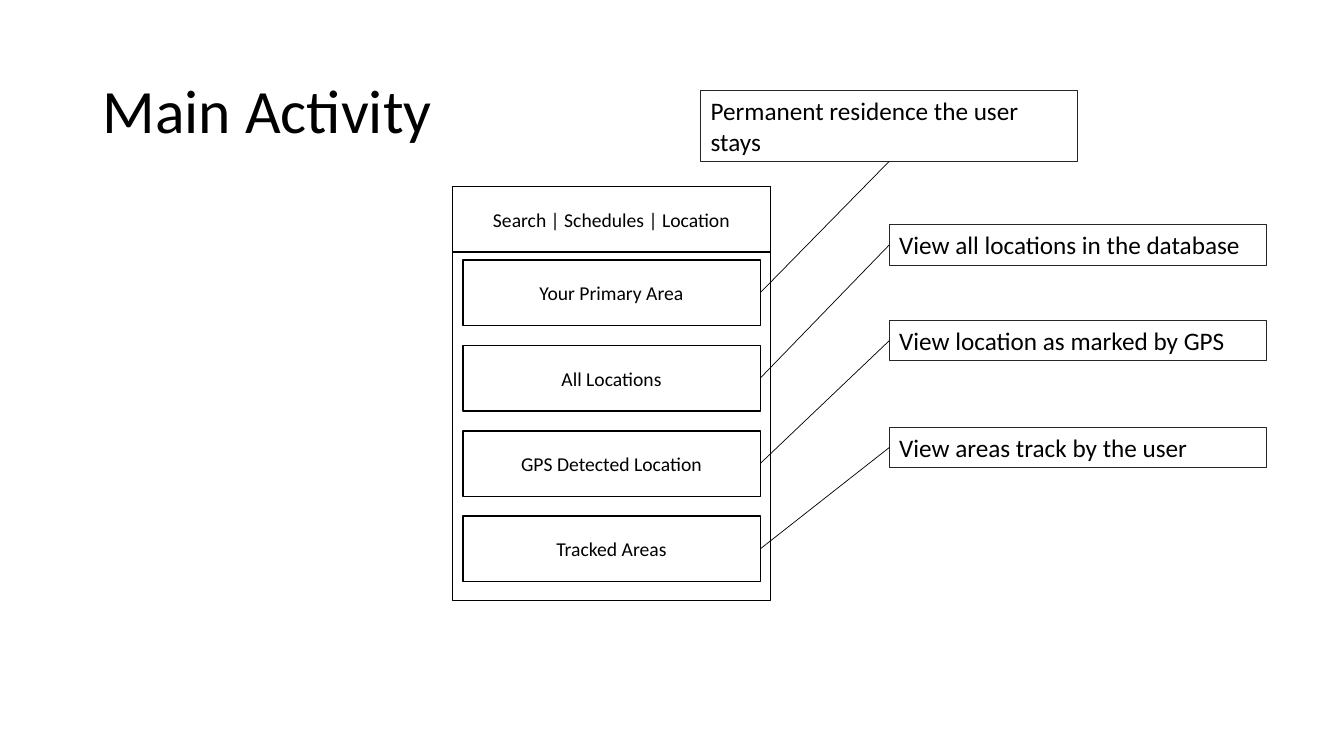
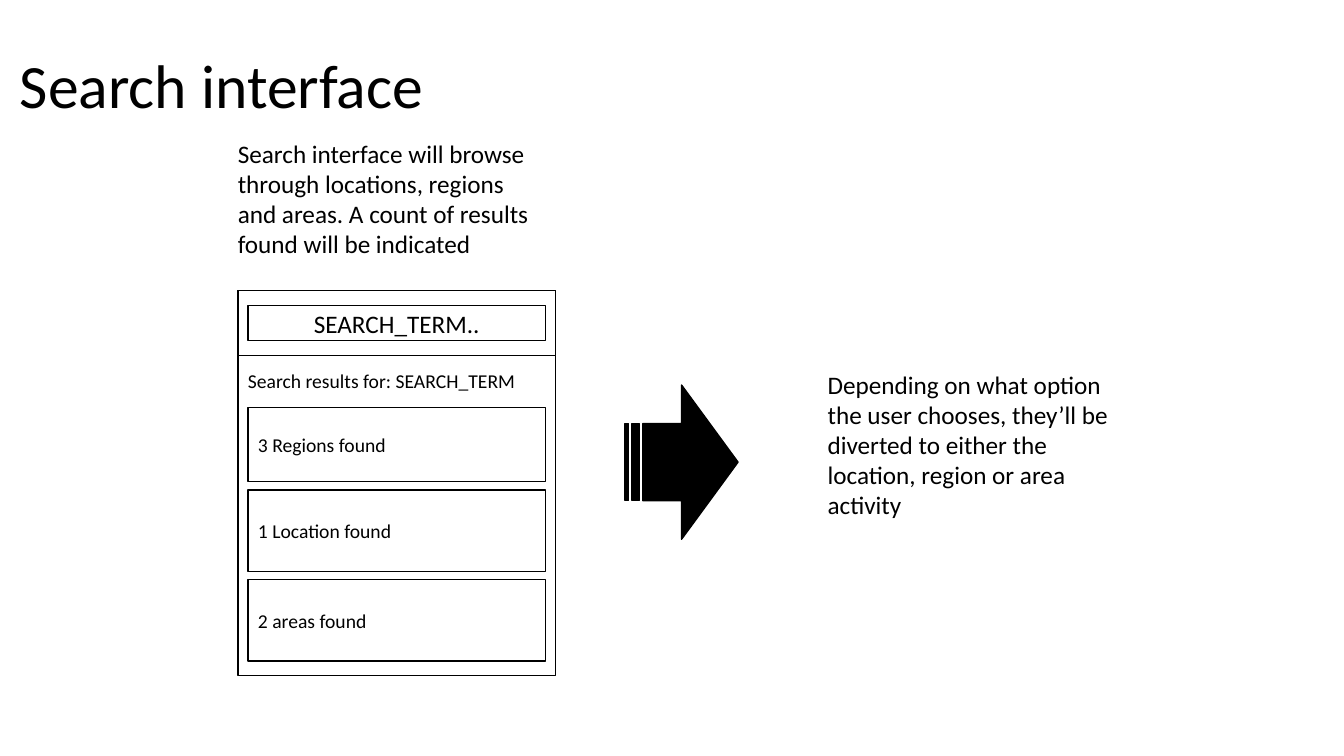
from pptx import Presentation
from pptx.dml.color import RGBColor
from pptx.enum.shapes import MSO_CONNECTOR as Link, MSO_SHAPE as Kind
from pptx.enum.text import MSO_ANCHOR as Anchor, PP_ALIGN as Align
from pptx.oxml.ns import qn
from pptx.util import Inches, Pt
from lxml.etree import SubElement

# Shared style
BLACK = RGBColor(0x00, 0x00, 0x00)
WHITE = RGBColor(0xFF, 0xFF, 0xFF)
GREY = RGBColor(0x26, 0x26, 0x26)
FONT = "Calibri"

# Shared phone frame
WIDE = 3.15
BAR = 0.65
PAD = 0.1
INNER = WIDE - 2 * PAD


def write(shape, text, size=14, align=Align.LEFT, anchor=Anchor.MIDDLE, space=1.0):
    frame = shape.text_frame
    frame.word_wrap = True
    frame.vertical_anchor = anchor
    par = frame.paragraphs[0]
    par.alignment = align
    par.line_spacing = space
    run = par.add_run()
    run.text = text
    run.font.name = FONT
    run.font.size = Pt(size)
    run.font.color.rgb = BLACK


def add_box(slide, x, y, w, h, text="", fill=WHITE, line=BLACK, weight=1,
            kind=Kind.RECTANGLE, **style):
    box = slide.shapes.add_shape(kind, Inches(x), Inches(y), Inches(w), Inches(h))
    box.shadow.inherit = False
    if fill is None:
        box.fill.background()
    else:
        box.fill.solid()
        box.fill.fore_color.rgb = fill
    box.line.color.rgb = line
    box.line.width = Pt(weight)
    if text:
        write(box, text, **style)
    return box


def add_note(slide, x, y, w, h, text, size=18, anchor=Anchor.TOP, **style):
    note = slide.shapes.add_textbox(Inches(x), Inches(y), Inches(w), Inches(h))
    write(note, text, size=size, anchor=anchor, **style)


def add_title(slide, x, y, text):
    add_note(slide, x, y, 11.5, 1.45, text, size=44, anchor=Anchor.MIDDLE, space=0.9)


def add_phone(slide, x, y, h, text=""):
    add_box(slide, x, y, WIDE, h, fill=None)
    add_box(slide, x, y, WIDE, BAR, text, align=Align.CENTER)


def add_link(slide, start, end):
    ends = [Inches(v) for v in (*start, *end)]
    link = slide.shapes.add_connector(Link.STRAIGHT, *ends)
    link.line.color.rgb = BLACK
    link.line.width = Pt(0.5)
    SubElement(link._element.spPr, qn("a:effectLst"))


def main_slide(slide):
    add_title(slide, 0.92, 0.4, "Main Activity")
    left, top = 4.49, 1.85
    add_phone(slide, left, top, 4.11, "Search | Schedules | Location")

    # Buttons, each linked to its callout
    first, step = 2.58, 0.847
    side = 8.82
    wide = 3.74
    rows = [
        ("Your Primary Area", "Permanent residence the user stays", 0.9),
        ("All Locations", "View all locations in the database", 2.23),
        ("GPS Detected Location", "View location as marked by GPS", 3.18),
        ("Tracked Areas", "View areas track by the user", 4.24),
    ]
    for i, (name, text, y) in enumerate(rows):
        row = first + i * step
        add_box(slide, left + PAD, row, INNER, BAR, name, align=Align.CENTER)
        # The top callout is two lines high, centred above its link
        x, h = (side - wide / 2, 0.7) if i == 0 else (side, 0.4)
        add_box(slide, x, y, wide, h, text, fill=None, line=GREY, weight=0.75,
                size=18, anchor=Anchor.TOP)
        start = (side, y + (h if i == 0 else h / 2))
        add_link(slide, start, (left + PAD + INNER, row + BAR / 2))


def search_slide(slide):
    add_title(slide, 0.1, 0.15, "Search interface")
    left, top = 2.36, 2.88
    add_phone(slide, left, top, 3.82)

    # Search field and results
    add_note(slide, left, 3.61, WIDE, 0.34, "Search results for: SEARCH_TERM", size=14)
    add_box(slide, left + PAD, top + 0.15, INNER, 0.35, "SEARCH_TERM..",
            size=18, align=Align.CENTER)
    y = 4.04
    for text, h in [("3 Regions found", 0.74), ("1 Location found", 0.81),
                    ("2 areas found", 0.81)]:
        add_box(slide, left + PAD, y, INNER, h, text)
        y += h + 0.08

    # Remarks and arrow
    add_note(slide, 2.26, 1.32, WIDE, 1.31,
             "Search interface will browse through locations, regions and areas. "
             "A count of results found will be indicated")
    add_box(slide, 6.2, 3.82, 1.12, 1.53, fill=BLACK, kind=Kind.STRIPED_RIGHT_ARROW)
    add_note(slide, 8.11, 3.61, WIDE, 1.62,
             "Depending on what option the user chooses, they’ll be diverted "
             "to either the location, region or area activity")


def main():
    deck = Presentation()
    deck.slide_width = Inches(13.33)
    deck.slide_height = Inches(7.5)
    for build in (main_slide, search_slide):
        build(deck.slides.add_slide(deck.slide_layouts[6]))
    deck.save("out.pptx")


if __name__ == "__main__":
    main()
